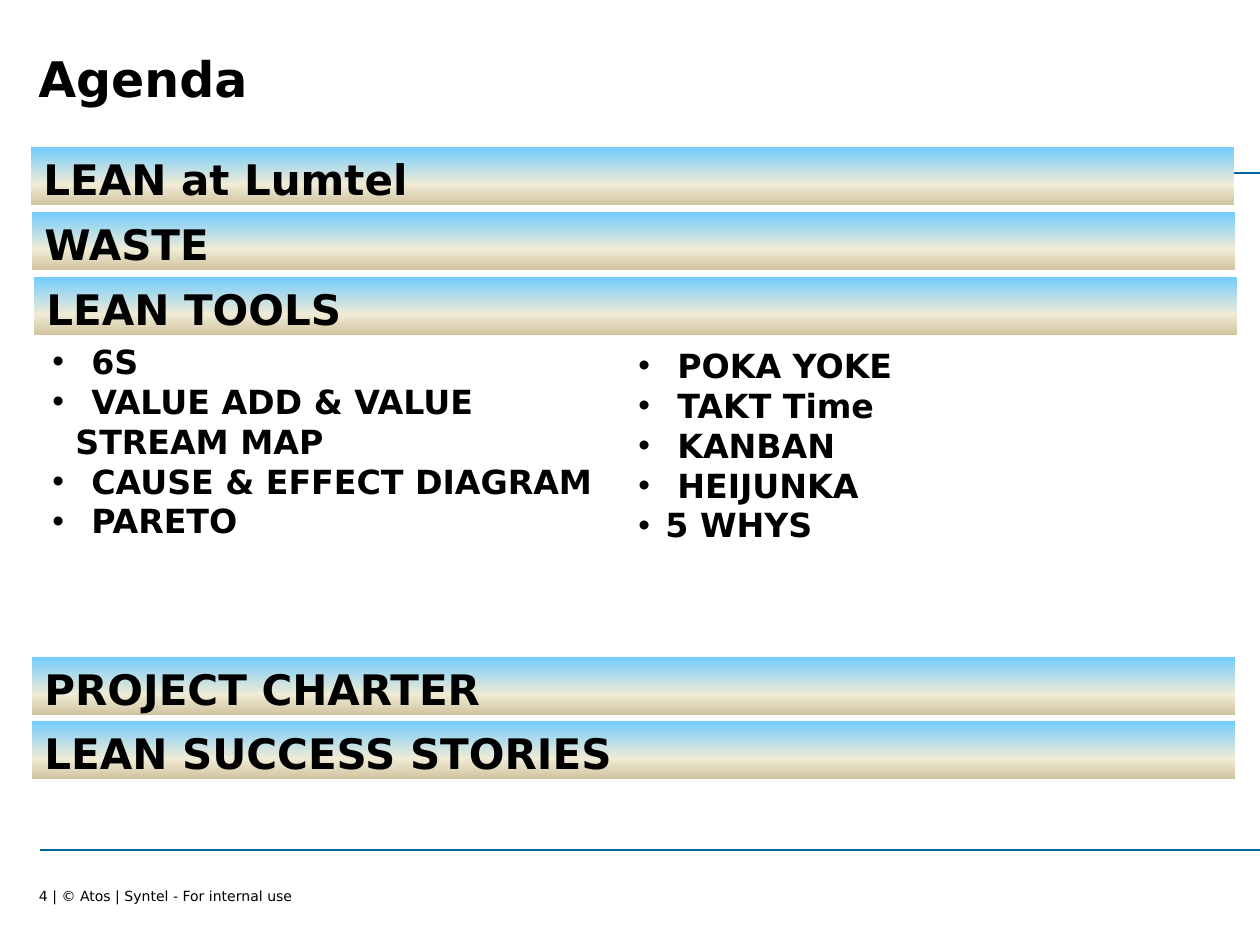
from dataclasses import dataclass

from lxml.etree import SubElement
from pptx import Presentation
from pptx.dml.color import RGBColor
from pptx.enum.shapes import MSO_CONNECTOR, MSO_SHAPE
from pptx.enum.text import MSO_ANCHOR, PP_ALIGN
from pptx.oxml.ns import qn
from pptx.util import Pt

PX = 914400 // 126


@dataclass(frozen=True)
class Theme:
    font: str = "DejaVu Sans"
    text: str = "000000"
    rule: str = "00649D"
    band: tuple = ((0, "73CCFF"), (65, "F0EBD5"), (100, "D1C39F"))
    title: int = 28
    heading: int = 24
    item: int = 19
    footer: int = 8


THEME = Theme()
HANG = 39

BANDS = [
    (31, 147, "LEAN at Lumtel"),
    (32, 212, "WASTE"),
    (34, 277, "LEAN TOOLS"),
    (32, 657, "PROJECT CHARTER"),
    (32, 721, "LEAN SUCCESS STORIES"),
]

# Each item: text, left margin, whether it has a bullet
LEFT_TOOLS = [
    ("6S", HANG, True),
    ("VALUE ADD & VALUE", HANG, True),
    ("STREAM MAP", 23, False),
    ("CAUSE & EFFECT DIAGRAM", HANG, True),
    ("PARETO", HANG, True),
]
RIGHT_TOOLS = [(name, HANG, True) for name in
               ("POKA YOKE", "TAKT Time", "KANBAN", "HEIJUNKA")]
RIGHT_TOOLS.append(("5 WHYS", 27, True))


def box(x, y, w, h):
    return [v * PX for v in (x, y, w, h)]


def write(p, text, size, bold=True):
    p.alignment = PP_ALIGN.LEFT
    r = p.add_run()
    r.text = text
    r.font.name = THEME.font
    r.font.size = Pt(size)
    r.font.bold = bold
    r.font.color.rgb = RGBColor.from_string(THEME.text)


def add_text_box(slide, x, y, w, h, anchor=MSO_ANCHOR.TOP, wrap=True):
    tf = slide.shapes.add_textbox(*box(x, y, w, h)).text_frame
    tf.word_wrap = wrap
    tf.vertical_anchor = anchor
    return tf


def add_band(slide, x, y, text):
    sp = slide.shapes.add_shape(MSO_SHAPE.RECTANGLE, *box(x, y, 1203, 58))
    sp.shadow.inherit = False
    sp.line.fill.background()
    sp.fill.gradient()
    sp.fill.gradient_angle = 270
    stops = sp.fill._fill._gradFill.find(qn("a:gsLst"))
    for old in list(stops):
        stops.remove(old)
    for pos, color in THEME.band:
        gs = SubElement(stops, qn("a:gs"), pos=str(pos * 1000))
        SubElement(gs, qn("a:srgbClr"), val=color)
    tf = sp.text_frame
    tf.vertical_anchor = MSO_ANCHOR.TOP
    write(tf.paragraphs[0], text, THEME.heading)


def add_rule(slide, y):
    line = slide.shapes.add_connector(
        MSO_CONNECTOR.STRAIGHT, 40 * PX, y * PX, 1261 * PX, y * PX)
    line.line.color.rgb = RGBColor.from_string(THEME.rule)
    line.line.width = Pt(1.25)
    SubElement(line._element.spPr, qn("a:effectLst"))


def add_list(slide, x, y, h, items):
    tf = add_text_box(slide, x, y, 597, h)
    for i, (text, margin, bullet) in enumerate(items):
        p = tf.add_paragraph() if i else tf.paragraphs[0]
        pPr = p._p.get_or_add_pPr()
        pPr.set("marL", str(margin * PX))
        if bullet:
            pPr.set("indent", str(-margin * PX))
            SubElement(pPr, qn("a:buFont"), typeface="Arial")
            SubElement(pPr, qn("a:buChar"), char="•")
        write(p, text, THEME.item)


def add_footer(slide):
    tf = add_text_box(slide, 39, 887, 286, 17, MSO_ANCHOR.MIDDLE, wrap=False)
    tf.margin_left = tf.margin_right = tf.margin_top = tf.margin_bottom = 0
    write(tf.paragraphs[0], "4 | © Atos | Syntel - For internal use",
          THEME.footer, bold=False)


def main():
    prs = Presentation()
    prs.slide_width, prs.slide_height = 1260 * PX, 945 * PX
    slide = prs.slides.add_slide(prs.slide_layouts[6])
    add_footer(slide)
    for y in (173, 850):
        add_rule(slide, y)
    for band in BANDS:
        add_band(slide, *band)
    title = add_text_box(slide, 26, 35, 1061, 85, MSO_ANCHOR.MIDDLE)
    write(title.paragraphs[0], "Agenda", THEME.title)
    add_list(slide, 40, 335, 255, LEFT_TOOLS)
    add_list(slide, 626, 339, 214, RIGHT_TOOLS)
    prs.save("out.pptx")


if __name__ == "__main__":
    main()
